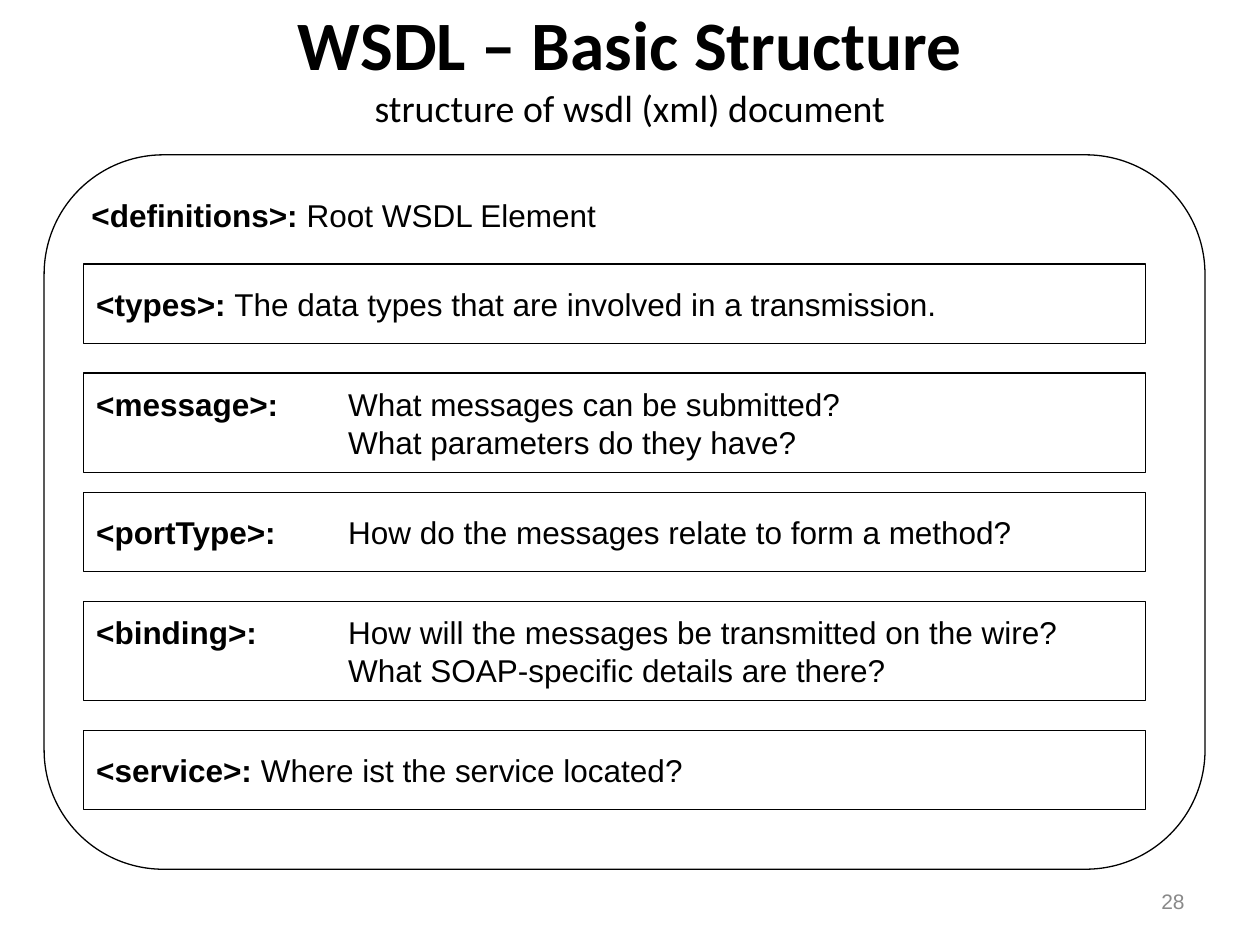
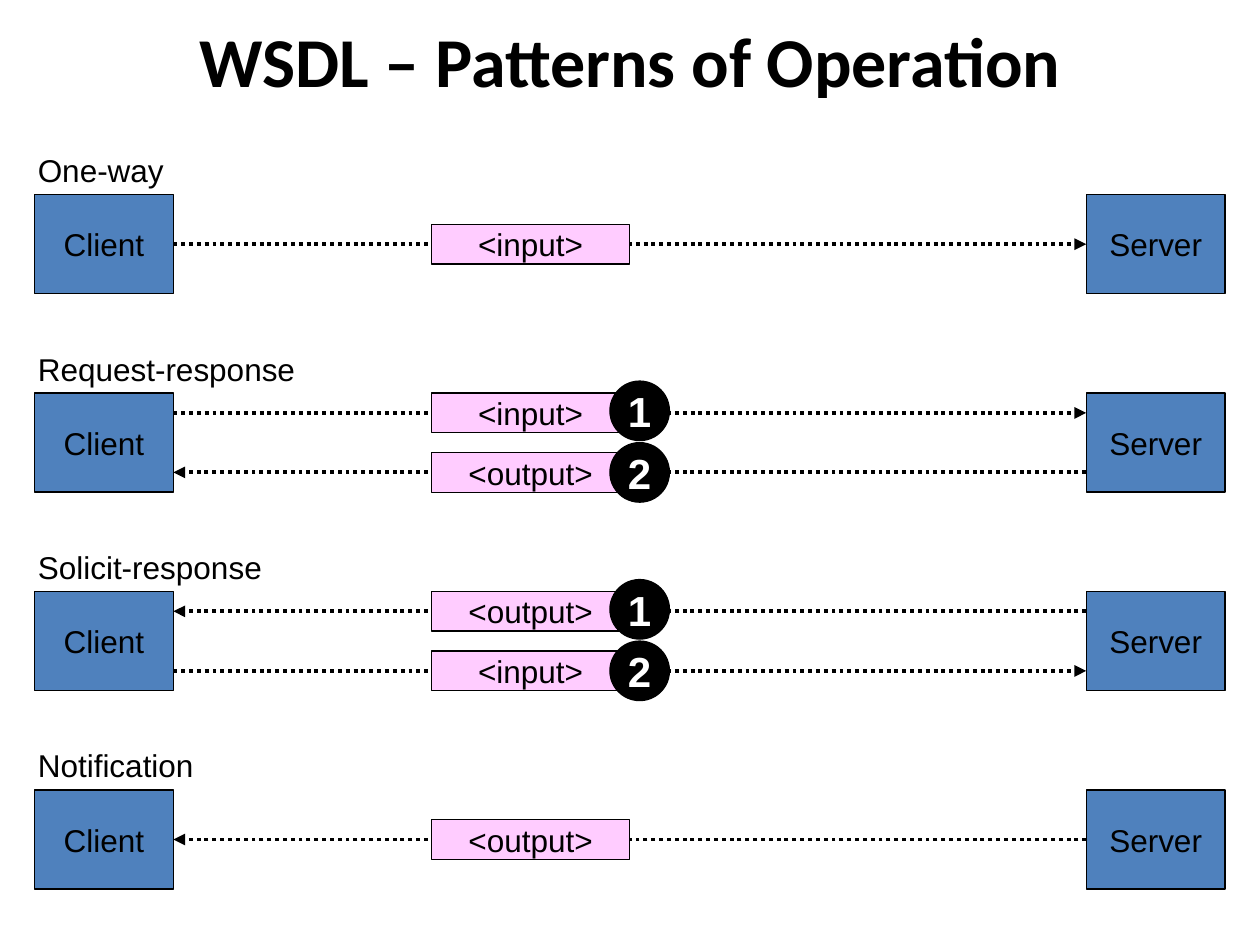
from pptx import Presentation
from pptx.dml.color import RGBColor
from pptx.enum.dml import MSO_LINE
from pptx.enum.shapes import MSO_CONNECTOR, MSO_SHAPE
from pptx.enum.text import MSO_ANCHOR, MSO_AUTO_SIZE, PP_ALIGN
from pptx.oxml.ns import qn
from pptx.util import Pt
from lxml import etree

RECTANGLE, ROUNDED, OVAL = MSO_SHAPE.RECTANGLE, MSO_SHAPE.ROUNDED_RECTANGLE, MSO_SHAPE.OVAL
STRAIGHT, DOTTED = MSO_CONNECTOR.STRAIGHT, MSO_LINE.ROUND_DOT
LEFT, CENTER, RIGHT = PP_ALIGN.LEFT, PP_ALIGN.CENTER, PP_ALIGN.RIGHT
TOP, MIDDLE = MSO_ANCHOR.TOP, MSO_ANCHOR.MIDDLE
SIDE_LEFT, SIDE_RIGHT = 1, 3

BLACK, WHITE, GRAY = "000000", "FFFFFF", "898989"
BLUE, PINK = "4F81BD", "FFCCFF"
BODY_FONT, TITLE_FONT = "Arial", "Calibri"
UNIT = 11.34
TAB = 144

FRAME = (25.2, 88.5, 58.5 * UNIT, 36 * UNIT)
ELEMENTS = [
    (5.5, 4, "<types>: ", ["The data types that are involved in a transmission."]),
    (11, 5, "<message>: \t", ["What messages can be submitted?",
                              "What parameters do they have?"]),
    (17, 4, "<portType>: \t", ["How do the messages relate to form a method?"]),
    (22.5, 5, "<binding>:\t", ["How will the messages be transmitted on the wire?",
                               "What SOAP-specific details are there?"]),
    (29, 4, "<service>: ", ["Where ist the service located?"]),
]
PATTERNS = [
    ("One-way", ["<input>"]),
    ("Request-response", ["<input>", "<output>"]),
    ("Solicit-response", ["<output>", "<input>"]),
    ("Notification", ["<output>"]),
]


def color(value):
    return RGBColor.from_string(value)


def style(span, size=18, ink=BLACK, bold=False, font=BODY_FONT):
    span.font.size = Pt(size)
    span.font.color.rgb = color(ink)
    span.font.bold = bold
    span.font.name = font


def add_span(para, text, bold=False):
    span = para.add_run()
    span.text = text
    style(span, bold=bold)


def add_title(page, box, lines, sizes):
    title = page.shapes.title
    title.left, title.top, title.width, title.height = map(Pt, box)
    frame = title.text_frame
    frame.text = "\v".join(lines)
    frame.auto_size = MSO_AUTO_SIZE.NONE
    frame.vertical_anchor = MIDDLE
    para = frame.paragraphs[0]
    para.alignment = CENTER
    for index, (span, size) in enumerate(zip(para.runs, sizes)):
        style(span, size, bold=index == 0, font=TITLE_FONT)


def add_text(page, box, text, align=LEFT, anchor=TOP, size=18, ink=BLACK):
    label = page.shapes.add_textbox(*map(Pt, box))
    frame = label.text_frame
    frame.word_wrap = True
    frame.vertical_anchor = anchor
    frame.text = text
    para = frame.paragraphs[0]
    para.alignment = align
    style(para.runs[0], size, ink)


def add_outline(page, kind, box, fill=None):
    shape = page.shapes.add_shape(kind, *map(Pt, box))
    shape.shadow.inherit = False
    if fill:
        shape.fill.solid()
        shape.fill.fore_color.rgb = color(fill)
    else:
        shape.fill.background()
    shape.line.color.rgb = color(BLACK)
    shape.line.width = Pt(0.75)
    shape.text_frame.word_wrap = True
    shape.text_frame.vertical_anchor = MIDDLE
    return shape


def add_node(page, kind, box, text, fill, **look):
    shape = add_outline(page, kind, box, fill)
    frame = shape.text_frame
    frame.margin_left = frame.margin_right = frame.margin_top = frame.margin_bottom = 0
    frame.text = text
    frame.paragraphs[0].alignment = CENTER
    style(frame.paragraphs[0].runs[0], **look)
    return shape


def indent(para, margin, first):
    properties = para._p.get_or_add_pPr()
    properties.set("marL", str(Pt(margin)))
    properties.set("indent", str(Pt(first)))


def add_element(page, box, term, lines):
    frame = add_outline(page, RECTANGLE, box).text_frame
    for index, line in enumerate(lines):
        para = frame.add_paragraph() if index else frame.paragraphs[0]
        para.alignment = LEFT
        if term.endswith("\t"):
            indent(para, TAB, 0 if index else -TAB)
        if index == 0:
            add_span(para, term, bold=True)
        add_span(para, line)


def add_definitions(page, box):
    left, top, width, height = box
    root = add_outline(page, ROUNDED, box)
    root.adjustments[0] = 0.167
    root.text_frame.vertical_anchor = TOP
    para = root.text_frame.paragraphs[0]
    para.alignment = LEFT
    add_span(para, "<definitions>: ", bold=True)
    add_span(para, "Root WSDL Element")
    for row, rows, term, lines in ELEMENTS:
        add_element(page, (left + 2 * UNIT, top + row * UNIT, width - 5 * UNIT, rows * UNIT),
                    term, lines)


def add_arrow(page, start, end):
    arrow = page.shapes.add_connector(STRAIGHT, *map(Pt, start + end))
    arrow.line.color.rgb = color(BLACK)
    arrow.line.width = Pt(2.25)
    arrow.line.dash_style = DOTTED
    etree.SubElement(arrow.line._get_or_add_ln(), qn("a:tailEnd"), type="triangle")
    etree.SubElement(arrow._element.spPr, qn("a:effectLst"))
    return arrow


def add_pattern(page, left, top, name, messages):
    size = (7 * UNIT, 5 * UNIT)
    server_left = left + 53 * UNIT
    client = add_node(page, RECTANGLE, (left, top, *size), "Client", BLUE)
    server = add_node(page, RECTANGLE, (server_left, top, *size), "Server", BLUE)
    add_text(page, (left - 5.2, top - 2.5 * UNIT, 170, 2.5 * UNIT), name)

    paired = len(messages) == 2
    for index, message in enumerate(messages):
        middle = top + (1 + 3 * index if paired else 2.5) * UNIT
        ends = [(client, SIDE_RIGHT, (left + 7 * UNIT, middle)),
                (server, SIDE_LEFT, (server_left, middle))]
        if message == "<output>":
            ends.reverse()
        (source, source_side, start), (target, target_side, end) = ends
        arrow = add_arrow(page, start, end)
        if not paired:
            arrow.begin_connect(source, source_side)
            arrow.end_connect(target, target_side)
        add_node(page, RECTANGLE,
                 (left + 20 * UNIT, middle - UNIT, 10 * UNIT, 2 * UNIT), message, PINK)
    if paired:
        for index in range(2):
            add_node(page, OVAL,
                     (left + 29 * UNIT, top + (3.1 * index - 0.6) * UNIT, 3 * UNIT, 3 * UNIT),
                     str(index + 1), BLACK, size=24, ink=WHITE, bold=True)


def structure_slide(page):
    add_title(page, (36, 3.6, 648, 67.7),
              ["WSDL – Basic Structure", "structure of wsdl (xml) document"], [39.6, 21.6])
    add_text(page, (516, 500.4, 168, 28.8), "28", RIGHT, MIDDLE, 12, GRAY)
    add_definitions(page, FRAME)


def patterns_slide(page):
    add_title(page, (36, -2.2, 648, 72.7), ["WSDL – Patterns of Operation"], [40])
    for index, (name, messages) in enumerate(PATTERNS):
        add_pattern(page, 19.7, 111.2 + 10 * UNIT * index, name, messages)


def main():
    deck = Presentation()
    deck.slide_width, deck.slide_height = Pt(720), Pt(540)
    title_only = deck.slide_layouts[5]
    for build in (structure_slide, patterns_slide):
        build(deck.slides.add_slide(title_only))
    deck.save("out.pptx")


if __name__ == "__main__":
    main()
